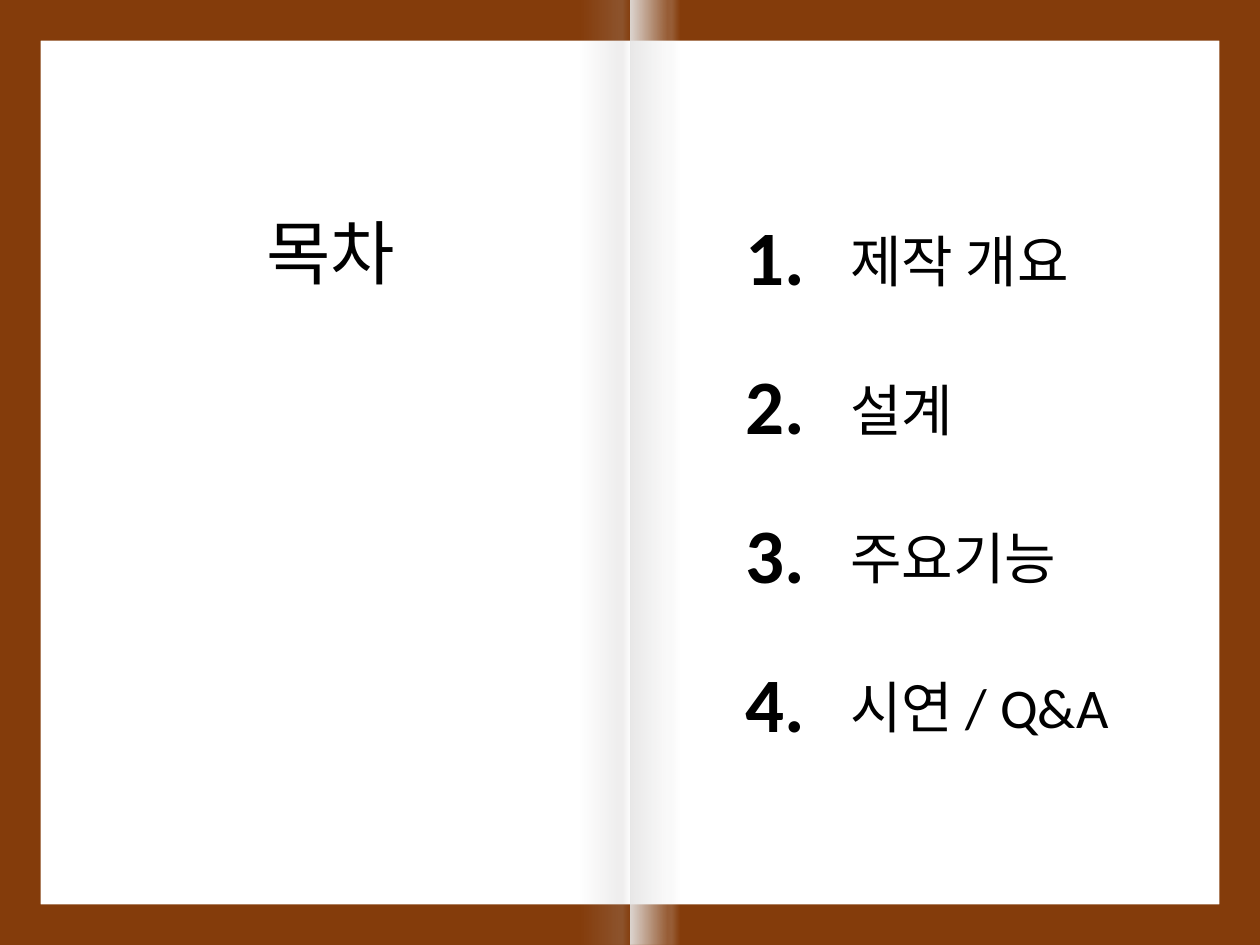
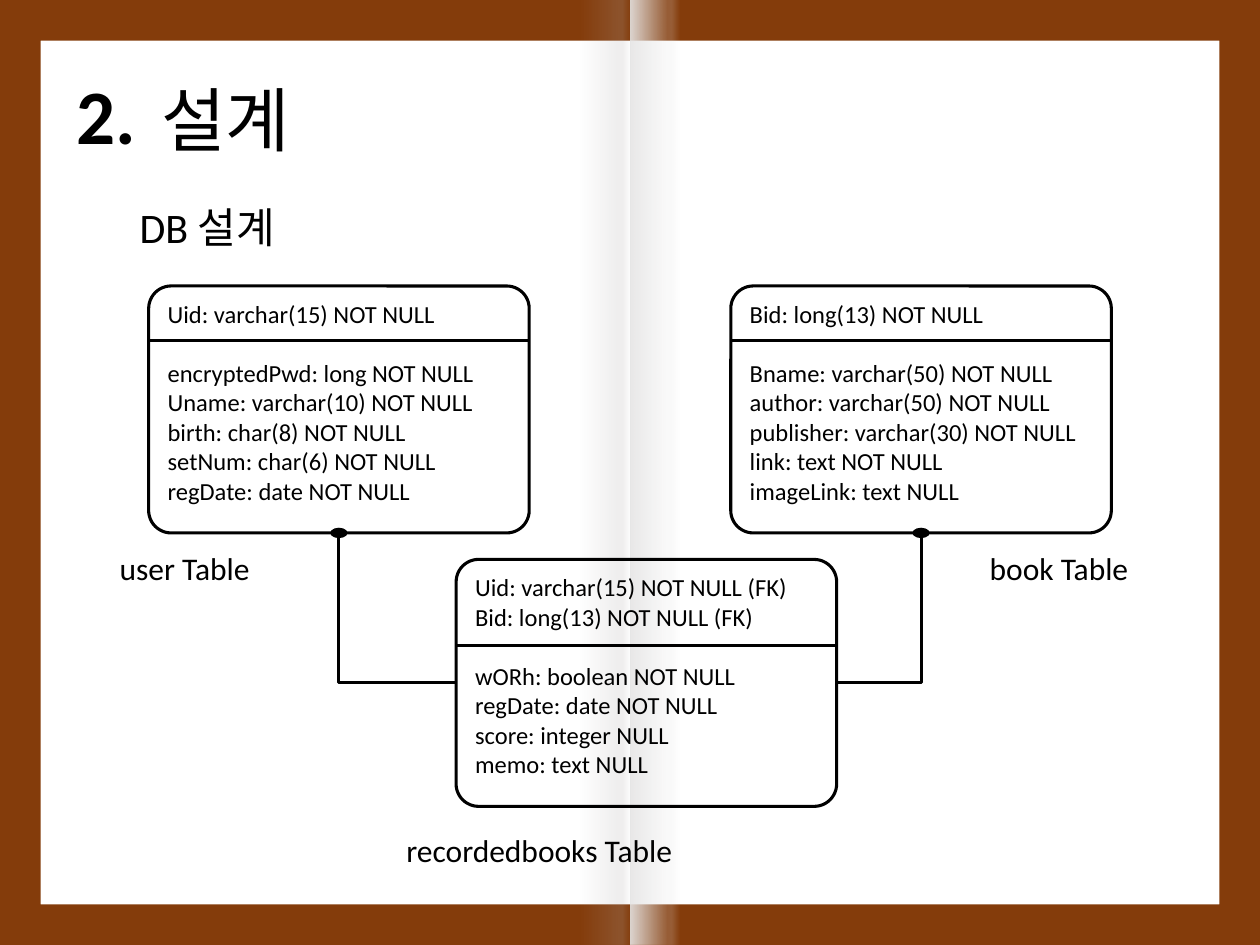
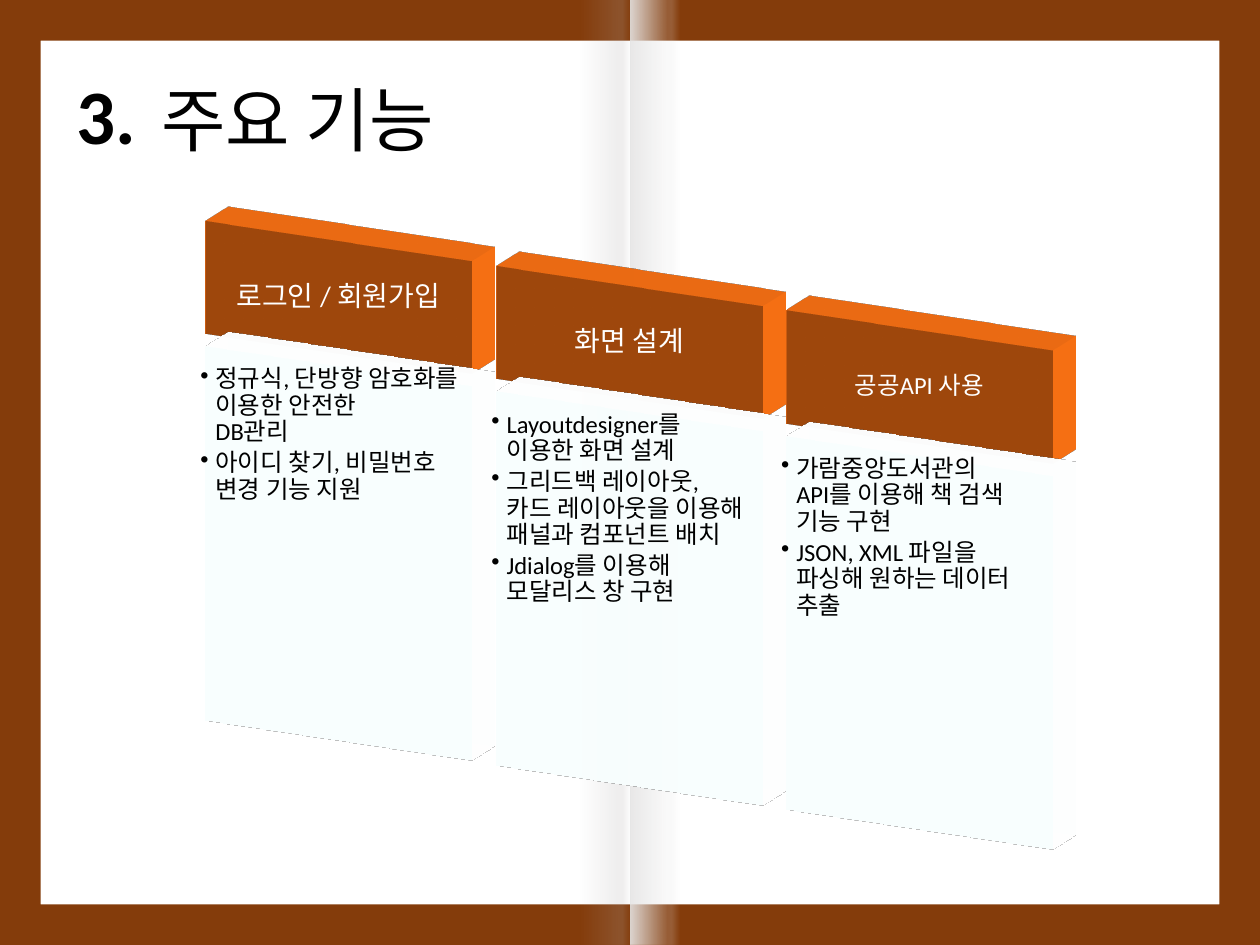
"""Build three slides of a book-style presentation: contents, database design, main features."""
from copy import deepcopy

from pptx import Presentation
from pptx.dml.color import RGBColor
from pptx.enum.shapes import MSO_CONNECTOR as Connector, MSO_SHAPE as Shape
from pptx.enum.text import MSO_ANCHOR as Anchor, MSO_AUTO_SIZE as AutoSize, PP_ALIGN as Align
from pptx.oxml import parse_xml
from pptx.oxml.ns import nsdecls, qn
from pptx.util import Inches, Pt

COLORS = {
    "ink": "000000",
    "paper": "FFFFFF",
    "cover": "843C0B",
    "panel": "CFD5EA",
    "light_fold": "E7E6E6",
    "dark_fold": "AFABAB",
}
RGB = {name: RGBColor.from_string(value) for name, value in COLORS.items()}
FONT = "Calibri"
NS = nsdecls("a")


def write(shape, paragraphs, size, align=Align.LEFT, color="ink", bold=False):
    """Fill a shape with paragraphs and format every run and line break."""
    frame = shape.text_frame
    for index, text in enumerate(paragraphs):
        para = frame.add_paragraph() if index else frame.paragraphs[0]
        para.text = text
        para.alignment = align
        for span in para.runs:
            span.font.name = FONT
            span.font.size = Pt(size)
            span.font.bold = bold
            span.font.color.rgb = RGB[color]
        for line_break in para._p.findall(qn("a:br")):
            line_break.append(deepcopy(para.runs[0]._r.rPr))


def add_text(page, area, text, size, align=Align.LEFT, wrap=True, bold=False):
    """Add a text box that grows with its text; bold numbers get a thin white outline."""
    box = page.shapes.add_textbox(*map(Inches, area))
    box.text_frame.word_wrap = wrap
    box.text_frame.auto_size = AutoSize.SHAPE_TO_FIT_TEXT
    write(box, [text], size, align, bold=bold)
    if bold:
        outline = parse_xml(
            f'<a:ln {NS} w="9525"><a:solidFill><a:srgbClr val="{COLORS["paper"]}"/></a:solidFill></a:ln>'
        )
        box.text_frame.paragraphs[0].runs[0]._r.rPr.insert(0, outline)


deck = Presentation()
deck.slide_width = Inches(10)
deck.slide_height = Inches(7.5)

FOLDS = [
    (5, "light_fold", (90, 20, 20, 0)),
    (4.61, "dark_fold", (0, 20, 20, 0)),
]
STOPS = (0, 74, 83, 100)
TITLES = [
    ("", "목차", (1.07, 1.61, 3.11, 0.77), Align.CENTER),
    ("2.", "설계", (1.18, 0.56, 2.76, 0.77), Align.LEFT),
    ("3.", "주요 기능", (1.18, 0.56, 2.76, 0.77), Align.LEFT),
]
pages = []
for number, heading, area, align in TITLES:
    page = deck.slides.add_slide(deck.slide_layouts[5])
    pages.append(page)

    cover = page.shapes.add_shape(Shape.FRAME, 0, 0, deck.slide_width, deck.slide_height)
    cover.adjustments[0] = 0.043
    cover.fill.solid()
    cover.fill.fore_color.rgb = RGB["cover"]
    cover.line.fill.background()
    cover.shadow.inherit = False

    for left, color, opacities in FOLDS:
        fold = page.shapes.add_shape(Shape.RECTANGLE, Inches(left), 0, Inches(0.39), deck.slide_height)
        fold.line.fill.background()
        fold.shadow.inherit = False
        stops = "".join(
            f'<a:gs pos="{stop * 1000}"><a:srgbClr val="{COLORS[color]}">'
            f'<a:alpha val="{opacity * 1000}"/></a:srgbClr></a:gs>'
            for stop, opacity in zip(STOPS, opacities)
        )
        gradient = parse_xml(f'<a:gradFill {NS}><a:gsLst>{stops}</a:gsLst><a:lin ang="0" scaled="0"/></a:gradFill>')
        fold._element.spPr.find(qn("a:prstGeom")).addnext(gradient)

    title = page.shapes.title
    title.left, title.top, title.width, title.height = map(Inches, area)
    title.text_frame.vertical_anchor = Anchor.TOP
    title.text_frame.word_wrap = True
    title.text_frame.auto_size = AutoSize.SHAPE_TO_FIT_TEXT
    write(title, [heading], 40, align)
    if number:
        add_text(page, (0.5, 0.49, 0.68, 0.84), number, 44, Align.CENTER, bold=True)

contents, design, features = pages

ENTRIES = [("제작 개요", 2.1), ("설계", 1.1), ("주요기능", 2), ("시연 / Q&A", 2.34)]
for index, (entry, width) in enumerate(ENTRIES):
    top = 1.61 + 1.18 * index
    add_text(contents, (5.81, top, 0.68, 0.84), f"{index + 1}.", 44, Align.CENTER, bold=True)
    add_text(contents, (6.65, top + 0.14, width, 0.64), entry, 32)

add_text(design, (1.01, 1.55, 1.38, 0.5), "DB 설계", 24)

TABLES = {
    "user": (1.18, 2.27, 2.7, ["Uid: varchar(15) NOT NULL"], [
        "encryptedPwd: long NOT NULL",
        "Uname: varchar(10) NOT NULL",
        "birth: char(8) NOT NULL",
        "setNum: char(6) NOT NULL",
        "regDate: date NOT NULL",
    ], (0.84, 4.31, 1.25, 0.4)),
    "book": (5.8, 2.27, 2.7, ["Bid: long(13) NOT NULL"], [
        "Bname: varchar(50) NOT NULL",
        "author: varchar(50) NOT NULL",
        "publisher: varchar(30) NOT NULL",
        "link: text NOT NULL",
        "imageLink: text NULL",
    ], (7.75, 4.31, 1.31, 0.4)),
    "recordedbooks": (3.62, 4.44, 5.12, ["Uid: varchar(15) NOT NULL (FK)", "Bid: long(13) NOT NULL (FK)"], [
        "wORh: boolean NOT NULL",
        "regDate: date NOT NULL",
        "score: integer NULL",
        "memo: text NULL",
    ], (3.09, 6.55, 2.38, 0.4)),
}
entities = {}
connectors = []
for name, (left, top, divider_top, keys, columns, label_area) in TABLES.items():
    entity = design.shapes.add_shape(
        Shape.ROUNDED_RECTANGLE, Inches(left), Inches(top), Inches(3.02), Inches(1.96)
    )
    entity.adjustments[0] = 0.091
    entity.fill.background()
    entity.line.color.rgb = RGB["ink"]
    entity.line.width = Pt(1.75)
    entity.shadow.inherit = False
    entity.text_frame.vertical_anchor = Anchor.TOP
    write(entity, keys + columns, 14)
    entity.text_frame.paragraphs[len(keys)].space_before = Pt(17)
    entities[name] = entity

    connectors.append(design.shapes.add_connector(
        Connector.STRAIGHT, Inches(left), Inches(divider_top), Inches(left + 3.02), Inches(divider_top)
    ))
    add_text(design, label_area, f"{name} Table", 18, Align.CENTER, wrap=False)

for name, side in (("user", 1), ("book", 3)):
    relation = design.shapes.add_connector(Connector.ELBOW, 0, 0, 0, 0)
    relation.begin_connect(entities["recordedbooks"], side)
    relation.end_connect(entities[name], 2)
    relation._element.spPr.find(qn("a:prstGeom")).set("prst", "bentConnector2")
    relation.line._get_or_add_ln().append(parse_xml(f'<a:tailEnd {NS} type="oval" w="lg"/>'))
    connectors.append(relation)

for connector in connectors:
    connector.line.color.rgb = RGB["ink"]
    connector.line.width = Pt(1.75)
    connector._element.spPr.append(parse_xml(f"<a:effectLst {NS}/>"))

FEATURES = [
    (1.51, 1.89, "로그인 / 회원가입", 16, [
        "정규식, 단방향 암호화를 이용한 안전한\nDB관리",
        "아이디 찾기, 비밀번호 변경 기능 지원",
    ]),
    (3.82, 2.25, "화면 설계", 16, [
        "Layoutdesigner를\n이용한 화면 설계",
        "그리드백 레이아웃,\n카드 레이아웃을 이용해\n패널과 컴포넌트 배치",
        "Jdialog를 이용해\n모달리스 창 구현",
    ]),
    (6.12, 2.6, "공공API 사용", 14, [
        "가람중앙도서관의\nAPI를 이용해 책 검색\n기능 구현",
        "JSON, XML 파일을\n파싱해 원하는 데이터 추출",
    ]),
]
for left, top, heading, size, points in FEATURES:
    header = features.shapes.add_shape(
        Shape.RECTANGLE, Inches(left), Inches(top), Inches(2.35), Inches(0.94)
    )
    panel = features.shapes.add_shape(
        Shape.RECTANGLE, Inches(left), Inches(top + 0.94), Inches(2.35), Inches(3.12)
    )
    write(header, [heading], size, Align.CENTER, "paper")
    write(panel, points, 14)
    header.line.color.rgb = RGB["cover"]
    header.line.width = Pt(0.5)
    panel.line.fill.background()
    header.text_frame.vertical_anchor = Anchor.MIDDLE
    panel.text_frame.vertical_anchor = Anchor.TOP

    for block, color, margins in (
        (header, "cover", (0.12, 0.07, 0.12, 0.07)),
        (panel, "panel", (0.08, 0.08, 0.11, 0.12)),
    ):
        block.fill.solid()
        block.fill.fore_color.rgb = RGB[color]
        block.shadow.inherit = False
        frame = block.text_frame
        frame.word_wrap = True
        frame.margin_left, frame.margin_top, frame.margin_right, frame.margin_bottom = map(Inches, margins)
        for para in frame.paragraphs:
            para.line_spacing = 0.9
        block._element.spPr.append(parse_xml(
            f'<a:scene3d {NS}><a:camera prst="isometricOffAxis2Left" zoom="95000"/>'
            '<a:lightRig rig="flat" dir="t"/></a:scene3d>'
        ))
        block._element.spPr.append(parse_xml(
            f'<a:sp3d {NS} extrusionH="381000" contourW="38100" prstMaterial="matte">'
            f'<a:contourClr><a:srgbClr val="{COLORS["paper"]}"/></a:contourClr></a:sp3d>'
        ))

    panel_color = panel._element.spPr.find(qn("a:solidFill")).find(qn("a:srgbClr"))
    panel_color.append(parse_xml(f'<a:alpha {NS} val="90000"/>'))
    for para in panel.text_frame.paragraphs:
        para.level = 1
        para.space_after = Pt(2.5)
        properties = para._p.get_or_add_pPr()
        properties.set("marL", str(Inches(0.12)))
        properties.set("indent", str(-Inches(0.12)))
        properties.append(parse_xml(f'<a:buChar {NS} char="•"/>'))

deck.save("out.pptx")
